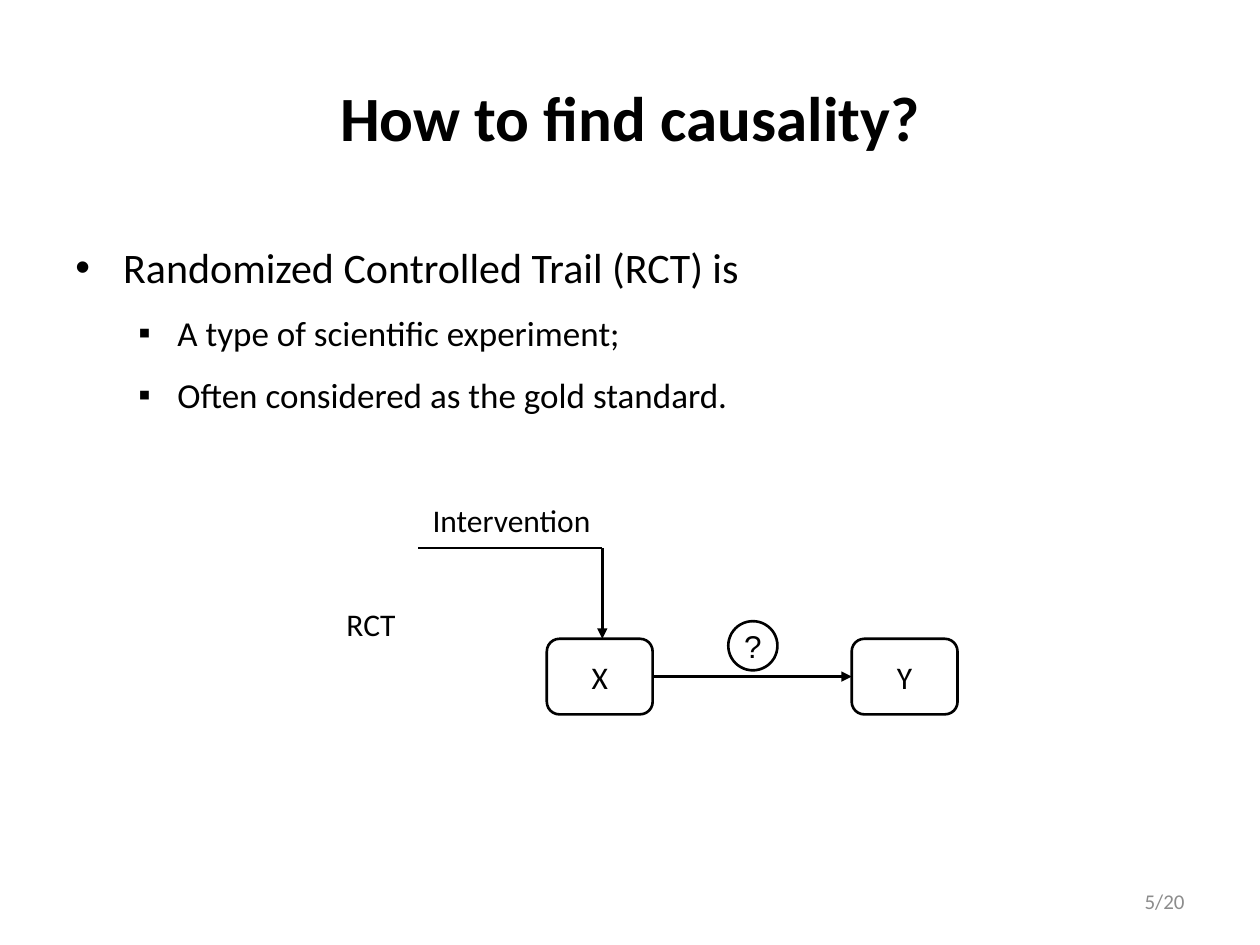
"""Build a slide on finding causality with a randomized controlled trial."""
import pptx
import pptx.util
import pptx.dml.color
import pptx.enum.shapes
import pptx.enum.text
import pptx.oxml.ns
import lxml.etree

Inches, Pt = pptx.util.Inches, pptx.util.Pt
PP_ALIGN = pptx.enum.text.PP_ALIGN
MIDDLE = pptx.enum.text.MSO_ANCHOR.MIDDLE
SHAPES = pptx.enum.shapes.MSO_SHAPE
qn = pptx.oxml.ns.qn


def color(value):
    return pptx.dml.color.RGBColor.from_string(value)


def write(shape, text, size, align=PP_ALIGN.CENTER, font="Calibri", ink="000000", bold=False):
    shape.text_frame.text = text
    paragraph = shape.text_frame.paragraphs[0]
    paragraph.alignment = align
    run_font = paragraph.runs[0].font
    run_font.size, run_font.name, run_font.bold = Pt(size), font, bold
    run_font.color.rgb = color(ink)


deck = pptx.Presentation()
deck.slide_width, deck.slide_height = Inches(10), Inches(7.5)
slide = deck.slides.add_slide(deck.slide_layouts[5])

title = slide.shapes.title
title.left, title.top, title.width, title.height = map(Inches, (0.5, 0.3, 9, 1.25))
title.text_frame.vertical_anchor = MIDDLE
write(title, "How to find causality?", 36, bold=True)

points = [
    ("Randomized Controlled Trail (RCT) is", 0, 24, 0.38, 0.38, "•"),
    ("A type of scientific experiment;", 1, 20, 0.81, 0.31, "▪"),
    ("Often considered as the gold standard.", 1, 20, 0.81, 0.31, "▪"),
]
body = slide.shapes.add_textbox(Inches(0.5), Inches(1.75), Inches(9), Inches(4.95)).text_frame
body.word_wrap = True
body.text = "\n".join(point[0] for point in points)
for paragraph, (_, level, size, margin, hanging, bullet) in zip(body.paragraphs, points):
    paragraph.level = level
    paragraph.line_spacing = 1.3
    if level:
        paragraph.space_before = Pt(4)
    properties = paragraph._p.get_or_add_pPr()
    properties.set("marL", str(Inches(margin)))
    properties.set("indent", str(-Inches(hanging)))
    lxml.etree.SubElement(properties, qn("a:buFont")).set("typeface", "Arial")
    lxml.etree.SubElement(properties, qn("a:buChar")).set("char", bullet)
    run_font = paragraph.runs[0].font
    run_font.size, run_font.name = Pt(size), "Calibri"
    run_font.color.rgb = color("000000")

nodes = [
    ("X", SHAPES.ROUNDED_RECTANGLE, 4.34, 5.07, 0.84, 0.6, "Calibri"),
    ("Y", SHAPES.ROUNDED_RECTANGLE, 6.76, 5.07, 0.84, 0.6, "Calibri"),
    ("?", SHAPES.OVAL, 5.78, 4.93, 0.39, 0.39, "Arial"),
]
for text, kind, left, top, width, height, font in nodes:
    node = slide.shapes.add_shape(kind, Inches(left), Inches(top), Inches(width), Inches(height))
    node.shadow.inherit = False
    if kind == SHAPES.OVAL:
        node.fill.background()
    else:
        node.fill.solid()
        node.fill.fore_color.rgb = color("FFFFFF")
    node.line.color.rgb = color("000000")
    node.line.width = Pt(1.5)
    node.text_frame.vertical_anchor = MIDDLE
    node.text_frame.word_wrap = kind != SHAPES.OVAL
    write(node, text, 18, font=font)

links = [
    (5.18, 5.37, 6.76, 5.37, True),
    (4.78, 4.35, 4.78, 5.07, True),
    (4.78, 4.35, 3.32, 4.35, False),
]
for x1, y1, x2, y2, arrow in links:
    link = slide.shapes.add_connector(
        pptx.enum.shapes.MSO_CONNECTOR.STRAIGHT, Inches(x1), Inches(y1), Inches(x2), Inches(y2))
    link.line.color.rgb = color("000000")
    link.line.width = Pt(1.5)
    if arrow:
        lxml.etree.SubElement(link.line._get_or_add_ln(), qn("a:tailEnd")).set("type", "triangle")
    lxml.etree.SubElement(link._element.spPr, qn("a:effectLst"))

labels = [
    ("RCT", 2.63, 4.75, 0.63, 18, PP_ALIGN.CENTER, "000000"),
    ("Intervention", 3.28, 3.93, 1.56, 18, PP_ALIGN.CENTER, "000000"),
    ("5/20", 7.17, 6.95, 2.33, 12, PP_ALIGN.RIGHT, "8C8C8C"),
]
for text, left, top, width, size, align, ink in labels:
    label = slide.shapes.add_textbox(Inches(left), Inches(top), Inches(width), Inches(0.4))
    label.text_frame.word_wrap = True
    label.text_frame.vertical_anchor = MIDDLE
    write(label, text, size, align, ink=ink)

deck.save("out.pptx")
